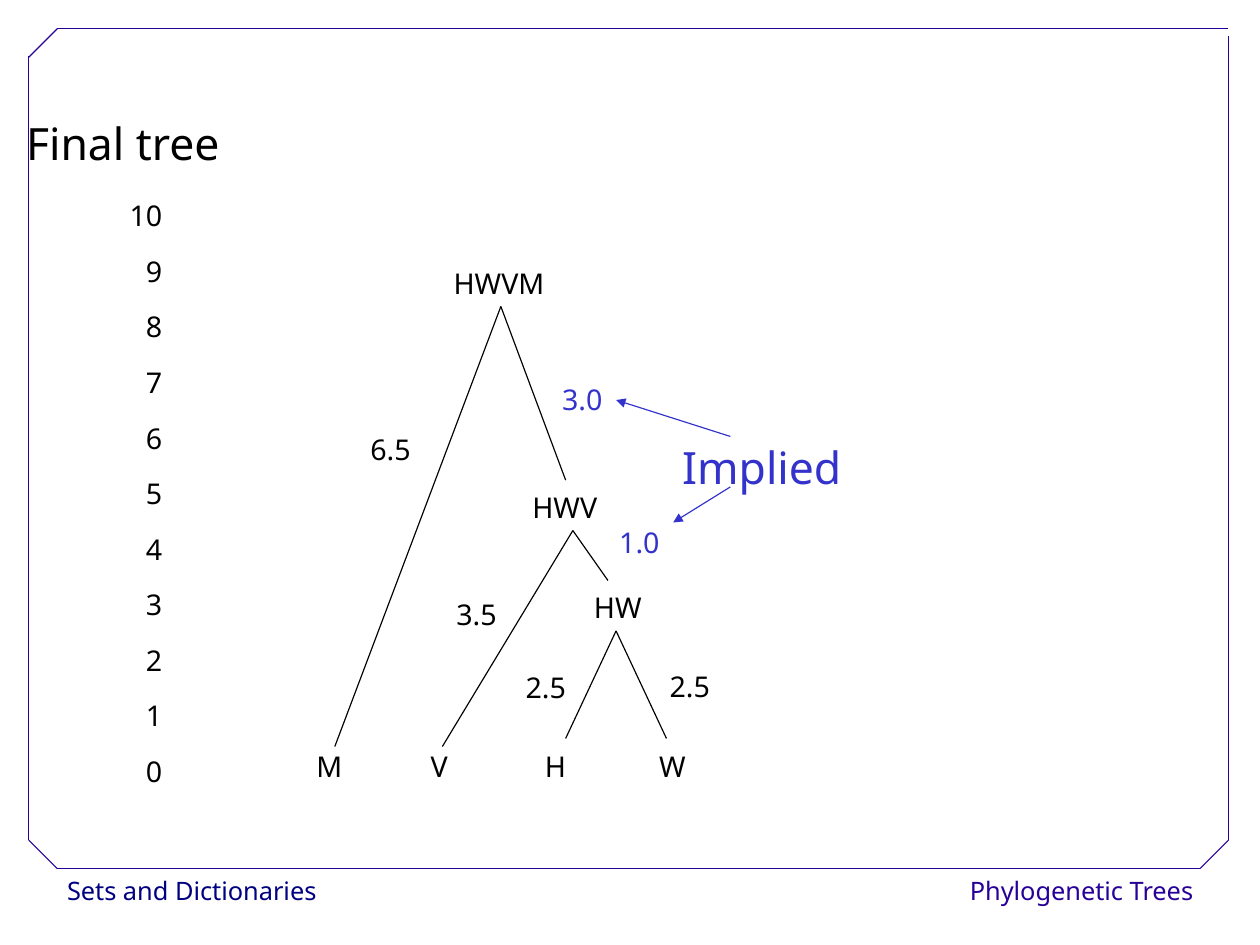
from dataclasses import dataclass

from lxml import etree
from pptx import Presentation
from pptx.dml.color import RGBColor
from pptx.enum.shapes import MSO_CONNECTOR, MSO_SHAPE
from pptx.enum.text import MSO_ANCHOR, MSO_AUTO_SIZE, PP_ALIGN
from pptx.oxml.ns import qn
from pptx.util import Cm, Pt

STRAIGHT = MSO_CONNECTOR.STRAIGHT
RECT = MSO_SHAPE.RECTANGLE
TOP = MSO_ANCHOR.TOP
GROW = MSO_AUTO_SIZE.SHAPE_TO_FIT_TEXT
LEFT, RIGHT = PP_ALIGN.LEFT, PP_ALIGN.RIGHT

FONT = "Noto Sans"
BLACK, BLUE, NAVY, PURPLE = "000000", "3333CC", "000080", "280099"
WHITE = "FFFFFF"


@dataclass
class Label:
    text: str
    x: float
    y: float
    wide: float = 1.4
    high: float = 0.97
    size: float = 18
    color: str = BLACK
    space: float = 0.93


@dataclass
class Line:
    x1: float
    y1: float
    x2: float
    y2: float
    color: str = BLACK
    arrow: bool = False


@dataclass
class Foot:
    text: str
    x: float
    color: str
    align: PP_ALIGN


@dataclass
class Grid:
    marks: list[str]
    x: float
    y: float
    wide: float
    high: float


FEET = [
    Foot("Sets and Dictionaries", 1.24, NAVY, LEFT),
    Foot("Phylogenetic Trees", 19.77, PURPLE, RIGHT),
]

FRAME = [
    Line(1.27, 19.3, 26.67, 19.3, PURPLE),
    Line(0.64, 18.67, 0.64, 1.24, PURPLE),
    Line(1.27, 0.64, 27.3, 0.64, PURPLE),
    Line(27.3, 18.67, 27.3, 0.81, PURPLE),
    Line(0.64, 1.27, 1.27, 0.64, PURPLE),
    Line(26.67, 19.3, 27.3, 18.67, PURPLE),
    Line(0.64, 18.67, 1.27, 19.3, PURPLE),
]

GRIDS = [
    Grid([""] * 10, 4.19, 4.85, 1.17, 12.37),
    Grid([str(mark) for mark in range(10, -1, -1)], 2.26, 4.27, 1.6, 13.59),
]

LABELS = [
    Label("Final tree", 0.33, 1.87, 7.37, 2.03, 28, BLACK, 1.5),
    Label("M\t\tV\t\tH\t\tW", 6.78, 16.59, 8.71),
    Label("HW", 12.95, 13.06, 1.6),
    Label("HWV", 11.58, 10.83, 2),
    Label("HWVM", 9.83, 5.86, 2.7),
    Label("1.0", 13.51, 11.62, color=BLUE),
    Label("3.0", 12.24, 8.43, color=BLUE),
    Label("Implied", 14.91, 9.07, 6.58, 2.03, 28, BLUE, 1.5),
    Label("6.5", 7.98, 9.55),
    Label("2.5", 14.63, 14.81),
    Label("2.5", 11.43, 14.83),
    Label("3.5", 9.89, 13.22),
]

TREE = [
    Line(12.57, 16.41, 13.69, 14.02),
    Line(14.81, 16.41, 13.69, 14.02),
    Line(13.51, 12.9, 12.73, 11.79),
    Line(12.73, 11.79, 9.83, 16.59),
    Line(12.57, 10.67, 11.13, 6.81),
    Line(11.13, 6.81, 7.44, 16.59),
    Line(16.23, 9.7, 13.69, 8.89, BLUE, True),
    Line(16.23, 10.82, 14.96, 11.61, BLUE, True),
]


def paint(target, color: str) -> None:
    target.rgb = RGBColor.from_string(color)


def write(frame, text: str, *, size: float = 18, color: str = BLACK,
          space: float = 0.93, align: PP_ALIGN = LEFT) -> None:
    para = frame.paragraphs[0]
    para.alignment = align
    para.line_spacing = space
    if "\t" in text:
        stops = etree.SubElement(para._p.get_or_add_pPr(), qn("a:tabLst"))
        for step in range(1, 8):
            etree.SubElement(stops, qn("a:tab"),
                             pos=str(Cm(1.27 * step)), algn="l")
    run = para.add_run()
    run.text = text
    run.font.name = FONT
    run.font.size = Pt(size)
    paint(run.font.color, color)


def add_label(slide, label: Label) -> None:
    box = slide.shapes.add_textbox(Cm(label.x), Cm(label.y),
                                   Cm(label.wide), Cm(label.high))
    frame = box.text_frame
    frame.word_wrap = False
    frame.auto_size = GROW
    write(frame, label.text, size=label.size, color=label.color,
          space=label.space)


def add_line(slide, line: Line) -> None:
    link = slide.shapes.add_connector(STRAIGHT, Cm(line.x1), Cm(line.y1),
                                      Cm(line.x2), Cm(line.y2))
    link.line.width = Pt(0.75)
    paint(link.line.color, line.color)
    if line.arrow:
        etree.SubElement(link.line._get_or_add_ln(), qn("a:tailEnd"),
                         type="triangle")
    etree.SubElement(link._element.spPr, qn("a:effectLst"))


def add_foot(slide, foot: Foot) -> None:
    shape = slide.shapes.add_shape(RECT, Cm(foot.x), Cm(19.3), Cm(7), Cm(1.02))
    shape.shadow.inherit = False
    shape.fill.solid()
    paint(shape.fill.fore_color, WHITE)
    shape.line.fill.background()
    frame = shape.text_frame
    frame.word_wrap = True
    frame.vertical_anchor = TOP
    write(frame, foot.text, size=16, color=foot.color, space=1.02,
          align=foot.align)


def add_grid(slide, grid: Grid) -> None:
    table = slide.shapes.add_table(len(grid.marks), 1, Cm(grid.x), Cm(grid.y),
                                   Cm(grid.wide), Cm(grid.high)).table
    table.first_row = False
    table.horz_banding = False
    for row, mark in enumerate(grid.marks):
        cell = table.cell(row, 0)
        cell.fill.background()
        if mark:
            write(cell.text_frame, mark, align=RIGHT)


def main() -> None:
    deck = Presentation()
    deck.slide_width, deck.slide_height = Cm(28), Cm(21)
    slide = deck.slides.add_slide(deck.slide_layouts[6])
    for foot in FEET:
        add_foot(slide, foot)
    for line in FRAME:
        add_line(slide, line)
    for grid in GRIDS:
        add_grid(slide, grid)
    for label in LABELS:
        add_label(slide, label)
    for line in TREE:
        add_line(slide, line)
    deck.save("out.pptx")


if __name__ == "__main__":
    main()
